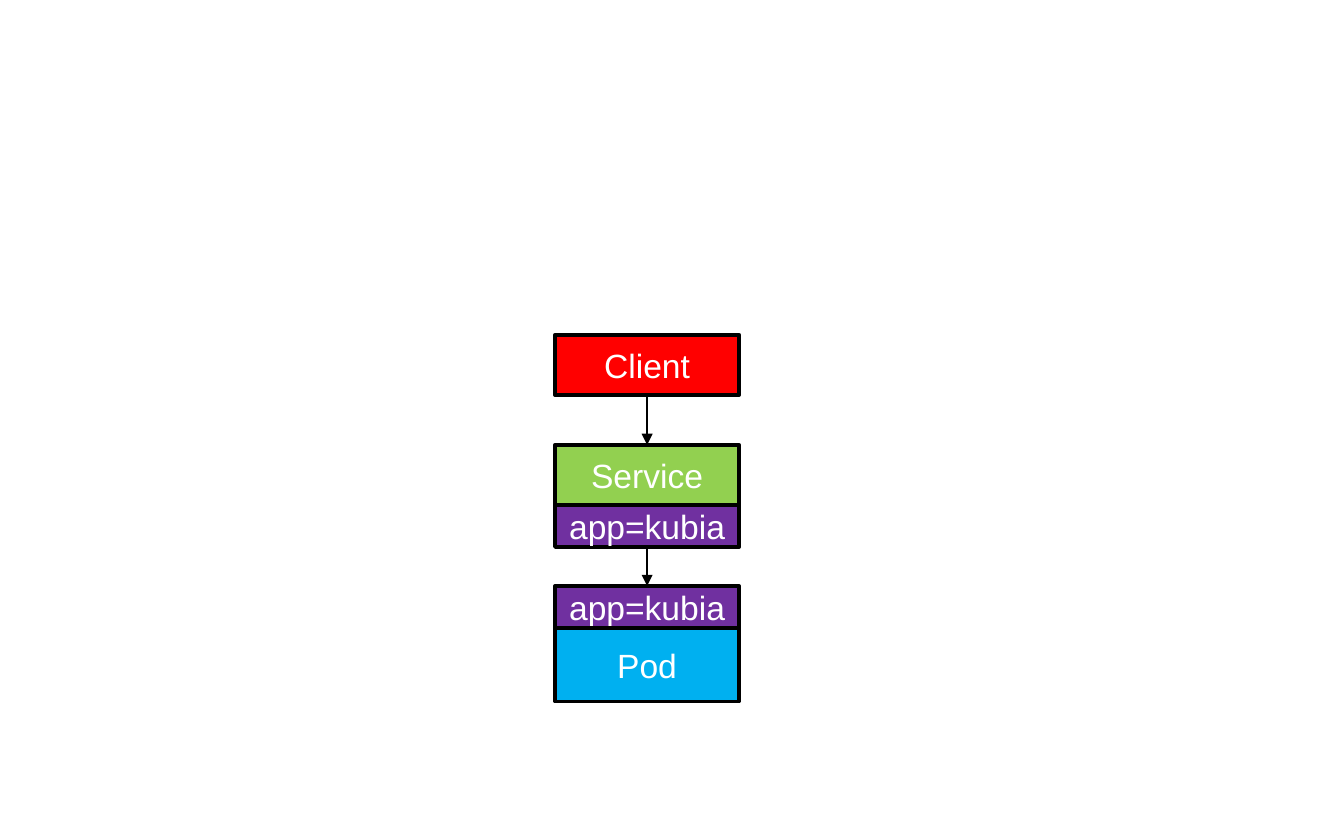
from lxml import etree
from pptx import Presentation
from pptx import util as u
from pptx.dml.color import RGBColor
from pptx.enum import shapes, text
from pptx.oxml.ns import qn

COLORS = {
    "client": "FF0000",
    "service": "92D050",
    "label": "7030A0",
    "pod": "00B0F0",
    "line": "000000",
    "text": "FFFFFF",
}
LEFT, TOP, WIDTH = 4.13, 2.49, 1.37

# text, colour, height, gap above
BOXES = [
    ("Client", "client", 0.45, 0),
    ("Service", "service", 0.45, 0.37),
    ("app=kubia", "label", 0.31, 0),
    ("app=kubia", "label", 0.31, 0.29),
    ("Pod", "pod", 0.55, 0),
]


def rgb(name):
    return RGBColor.from_string(COLORS[name])


def write_text(sp, content, size=18, color="text", font="Arial"):
    tf = sp.text_frame
    tf.margin_left = tf.margin_right = tf.margin_top = tf.margin_bottom = 0
    tf.word_wrap = True
    tf.vertical_anchor = text.MSO_ANCHOR.MIDDLE
    p = tf.paragraphs[0]
    p.alignment = text.PP_ALIGN.CENTER
    r = p.add_run()
    r.text = content
    r.font.size = u.Pt(size)
    r.font.name = font
    r.font.color.rgb = rgb(color)


def add_box(s, content, color, top, height):
    sp = s.shapes.add_shape(
        shapes.MSO_SHAPE.RECTANGLE,
        u.Inches(LEFT), u.Inches(top), u.Inches(WIDTH), u.Inches(height),
    )
    sp.shadow.inherit = False
    sp.fill.solid()
    sp.fill.fore_color.rgb = rgb(color)
    sp.line.color.rgb = rgb("line")
    sp.line.width = u.Pt(2)
    write_text(sp, content)
    return sp


def add_arrow(s, upper, lower):
    """Join the bottom of the upper box to the top of the lower one."""
    cxn = s.shapes.add_connector(shapes.MSO_CONNECTOR.STRAIGHT, 0, 0, 0, 0)
    cxn.begin_connect(upper, 2)
    cxn.end_connect(lower, 0)
    cxn.line.color.rgb = rgb("line")
    cxn.line.width = u.Pt(1)
    etree.SubElement(cxn.line._get_or_add_ln(), qn("a:tailEnd"), type="triangle")
    etree.SubElement(cxn._element.spPr, qn("a:effectLst"))


def main():
    prs = Presentation()
    prs.slide_width, prs.slide_height = u.Inches(10), u.Inches(6.25)
    s = prs.slides.add_slide(prs.slide_layouts[6])

    boxes = []
    top = TOP
    for content, color, height, gap in BOXES:
        top += gap
        boxes.append(add_box(s, content, color, top, height))
        top += height

    client, service, selector, pod_label, _ = boxes
    add_arrow(s, client, service)
    add_arrow(s, selector, pod_label)
    prs.save("out.pptx")


if __name__ == "__main__":
    main()
